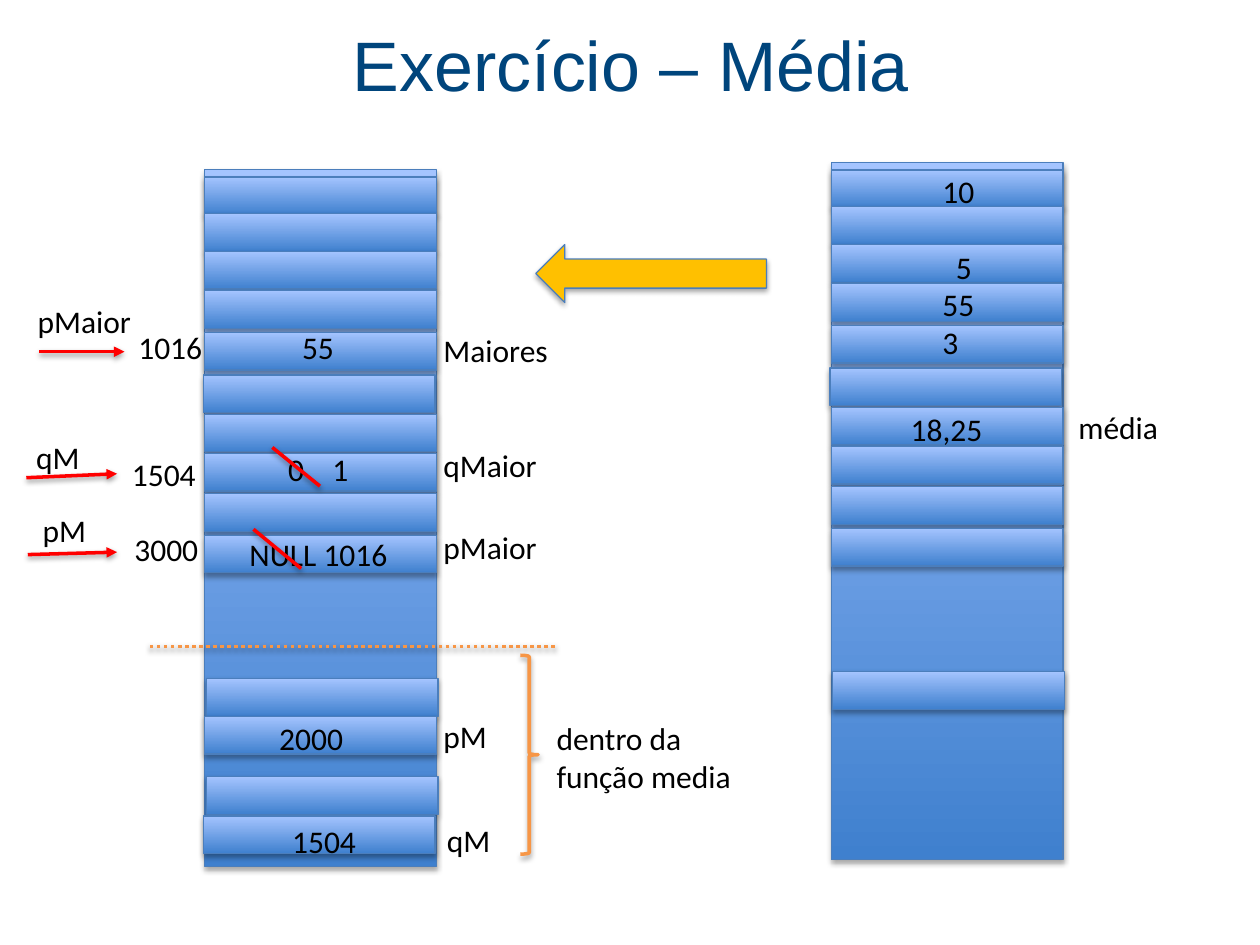
import pptx
import pptx.util
import pptx.dml.color
import pptx.enum.dml
import pptx.enum.shapes
import pptx.enum.text
import pptx.oxml
from pptx.oxml.ns import nsdecls, qn

Cm, Pt = pptx.util.Cm, pptx.util.Pt
SHAPE = pptx.enum.shapes.MSO_SHAPE

THEME = {
    "title": "00457C", "text": "000000", "border": "4B7EBC",
    "cell_dark": "3F80CE", "cell_light": "A4C4FF",
    "arrow": "FFC000", "pointer": "FF0000", "scope": "F79646",
    "title_font": "Arial", "body_font": "Calibri",
    "title_size": 40, "body_size": 18, "thin": 0.75, "thick": 2,
}

# Content, lengths in cm
TITLE = "Exercício – Média"
CELL_W, CELL_H, MEMORY_H = 4.67, 0.76, 14.05
# Memory cells: distance below the column top, sideways shift
CELLS = [(0.15, 0), (0.89, 0), (1.65, 0), (2.44, 0), (3.28, 0), (4.14, -0.03),
         (4.93, 0), (5.72, 0), (6.53, 0), (7.37, 0), (10.26, 0.03)]
FUNCTION_CELLS = [(11.02, 0), (12.24, 0.03), (13.03, -0.03)]
MEMORIES = [(16.76, 3.28, CELLS), (4.13, 3.42, CELLS + FUNCTION_CELLS)]

# Text, left, top
VALUES = [
    ("10", 18.75, 3.34), ("5", 19.02, 4.87), ("55", 18.75, 5.63),
    ("3", 18.75, 6.39), ("18,25", 18.11, 8.14),
    ("55", 5.84, 6.48), ("0", 5.56, 8.95), ("1", 6.45, 8.95),
    ("NULL 1016", 4.78, 10.66), ("2000", 5.38, 14.38), ("1504", 5.64, 16.44),
]
ADDRESSES = [("1016", 2.54, 6.48), ("1504", 2.41, 9.04), ("3000", 2.46, 10.57)]
NAMES = [
    ("Maiores", 8.69, 6.55), ("qMaior", 8.69, 8.87), ("pMaior", 8.69, 10.52),
    ("pM", 8.69, 14.33), ("qM", 8.76, 16.43), ("média", 21.49, 8.11),
    ("pMaior", 0.51, 5.97), ("qM", 0.48, 8.7), ("pM", 0.61, 10.17),
]
NOTE = ("dentro da função media", 10.97, 14.38)

# Start x, start y, end x, end y
POINTERS = [(0.79, 7.09, 2.51, 7.09), (0.53, 9.63, 2.36, 9.55),
            (0.56, 11.18, 2.36, 11.13)]
STRIKES = [(5.49, 9.02, 6.45, 9.8), (5.11, 10.67, 6.07, 11.46)]
SCOPE_LINE = (3.02, 13.03, 11.2, 13.03)


def rgb(name):
    return pptx.dml.color.RGBColor.from_string(THEME[name])


def add_shadow(shape, alpha, distance):
    shape._element.spPr.append(pptx.oxml.parse_xml(
        f'<a:effectLst {nsdecls("a")}><a:outerShdw blurRad="{Pt(3.1)}" '
        f'dist="{Pt(distance)}" dir="5400000" rotWithShape="0">'
        f'<a:srgbClr val="000000"><a:alpha val="{alpha * 1000}"/></a:srgbClr>'
        '</a:outerShdw></a:effectLst>'))


def add_block(shapes, kind, x, y, w, h):
    s = shapes.add_shape(kind, Cm(x), Cm(y), Cm(w), Cm(h))
    s.line.color.rgb = rgb("border")
    s.line.width = Pt(THEME["thin"])
    add_shadow(s, 35, 1.8)
    return s


def add_cell(shapes, x, y, h=CELL_H):
    s = add_block(shapes, SHAPE.RECTANGLE, x, y, CELL_W, h)
    s.fill.gradient()
    s.fill.gradient_angle = 90
    for stop, position, name in zip(s.fill.gradient_stops, (0, 1),
                                    ("cell_dark", "cell_light")):
        stop.position = position
        stop.color.rgb = rgb(name)


def add_label(shapes, text, x, y, w=3.8, h=1.03):
    tf = shapes.add_textbox(Cm(x), Cm(y), Cm(w), Cm(h)).text_frame
    tf.word_wrap = True
    tf.text = text
    style(tf, "body", "text")


def style(tf, role, color):
    font = tf.paragraphs[0].runs[0].font
    font.name = THEME[role + "_font"]
    font.size = Pt(THEME[role + "_size"])
    font.color.rgb = rgb(color)


def add_line(shapes, ends, color):
    s = shapes.add_connector(pptx.enum.shapes.MSO_CONNECTOR.STRAIGHT,
                             *(Cm(v) for v in ends))
    s.line.color.rgb = rgb(color)
    s.line.width = Pt(THEME["thick"])
    add_shadow(s, 38, 1.6)
    return s


def main():
    prs = pptx.Presentation()
    prs.slide_width, prs.slide_height = Cm(25.4), Cm(19.05)
    slide = prs.slides.add_slide(prs.slide_layouts[5])
    shapes = slide.shapes

    # Title
    title = shapes.title
    title.left, title.top = Cm(0.89), Cm(0.08)
    title.width, title.height = Cm(23.65), Cm(2.41)
    tf = title.text_frame
    tf.text = TITLE
    tf.vertical_anchor = pptx.enum.text.MSO_ANCHOR.MIDDLE
    tf.paragraphs[0].alignment = pptx.enum.text.PP_ALIGN.CENTER
    style(tf, "title", "title")

    # Memory columns
    for x, y, cells in MEMORIES:
        group = shapes.add_group_shape()
        add_cell(group.shapes, x, y, MEMORY_H)
        for offset, shift in cells:
            add_cell(group.shapes, x + shift, y + offset)

    # Arrow between the columns
    arrow = add_block(shapes, SHAPE.RIGHT_ARROW, 10.8, 4.93, 4.65, 1.17)
    arrow.rotation = 180
    arrow.fill.solid()
    arrow.fill.fore_color.rgb = rgb("arrow")

    # Values, addresses and variable names
    for text, x, y in VALUES + ADDRESSES + NAMES:
        add_label(shapes, text, x, y)
    add_label(shapes, *NOTE, w=4.67, h=1.8)

    # Pointers and struck-out values
    for ends in POINTERS:
        line = add_line(shapes, ends, "pointer")
        line.line._get_or_add_ln().append(pptx.oxml.parse_xml(
            f'<a:tailEnd {nsdecls("a")} type="triangle"/>'))
    for ends in STRIKES:
        add_line(shapes, ends, "pointer")

    # Function scope
    scope = add_line(shapes, SCOPE_LINE, "scope")
    scope.line.dash_style = pptx.enum.dml.MSO_LINE.ROUND_DOT
    scope._element.spPr.find(".//" + qn("a:prstDash")).set("val", "sysDot")
    brace = add_block(shapes, SHAPE.RIGHT_BRACE, 10.49, 13.21, 0.36, 4.01)
    brace.fill.background()
    brace.line.color.rgb = rgb("scope")
    brace.line.width = Pt(THEME["thick"])

    prs.save("out.pptx")


if __name__ == "__main__":
    main()
